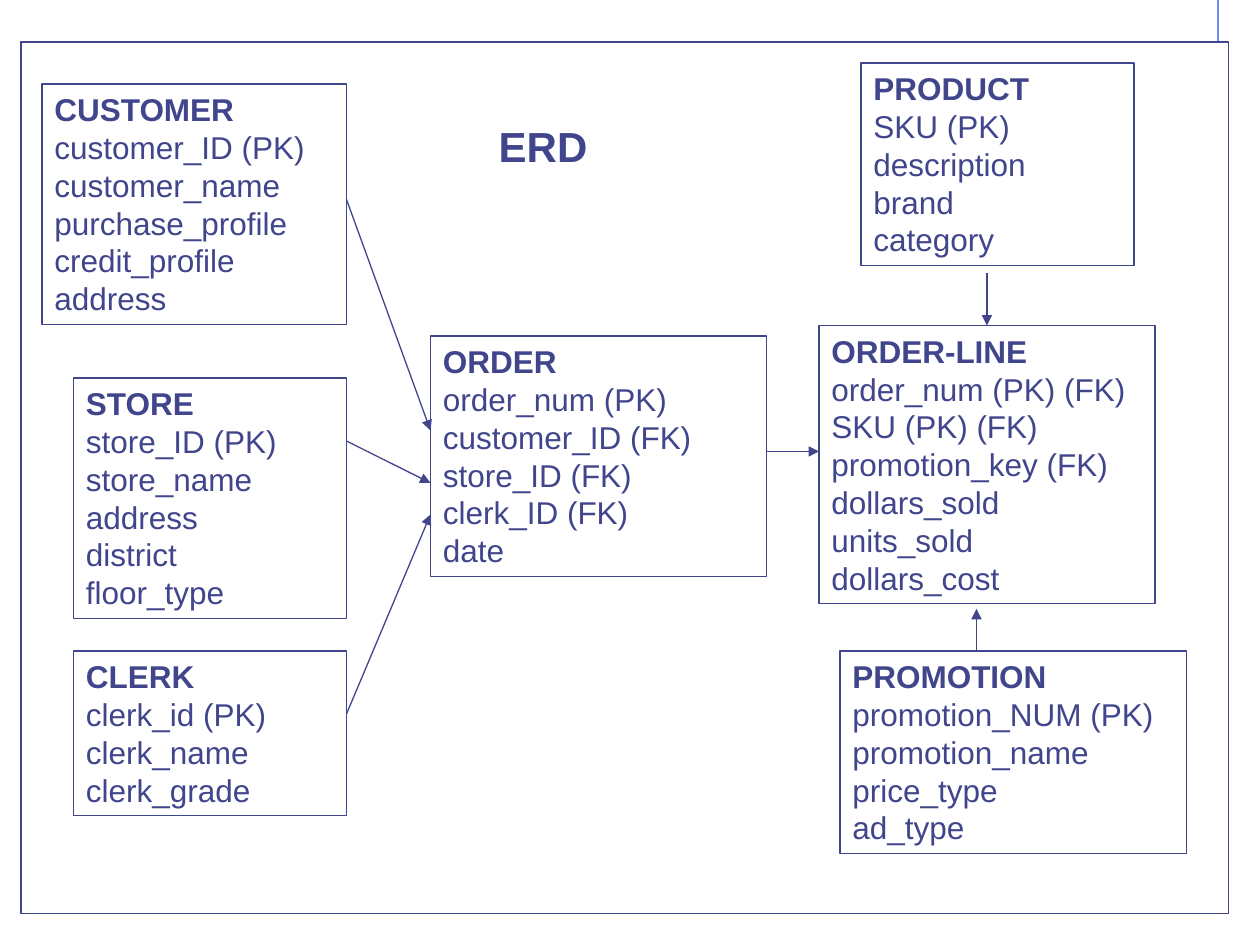
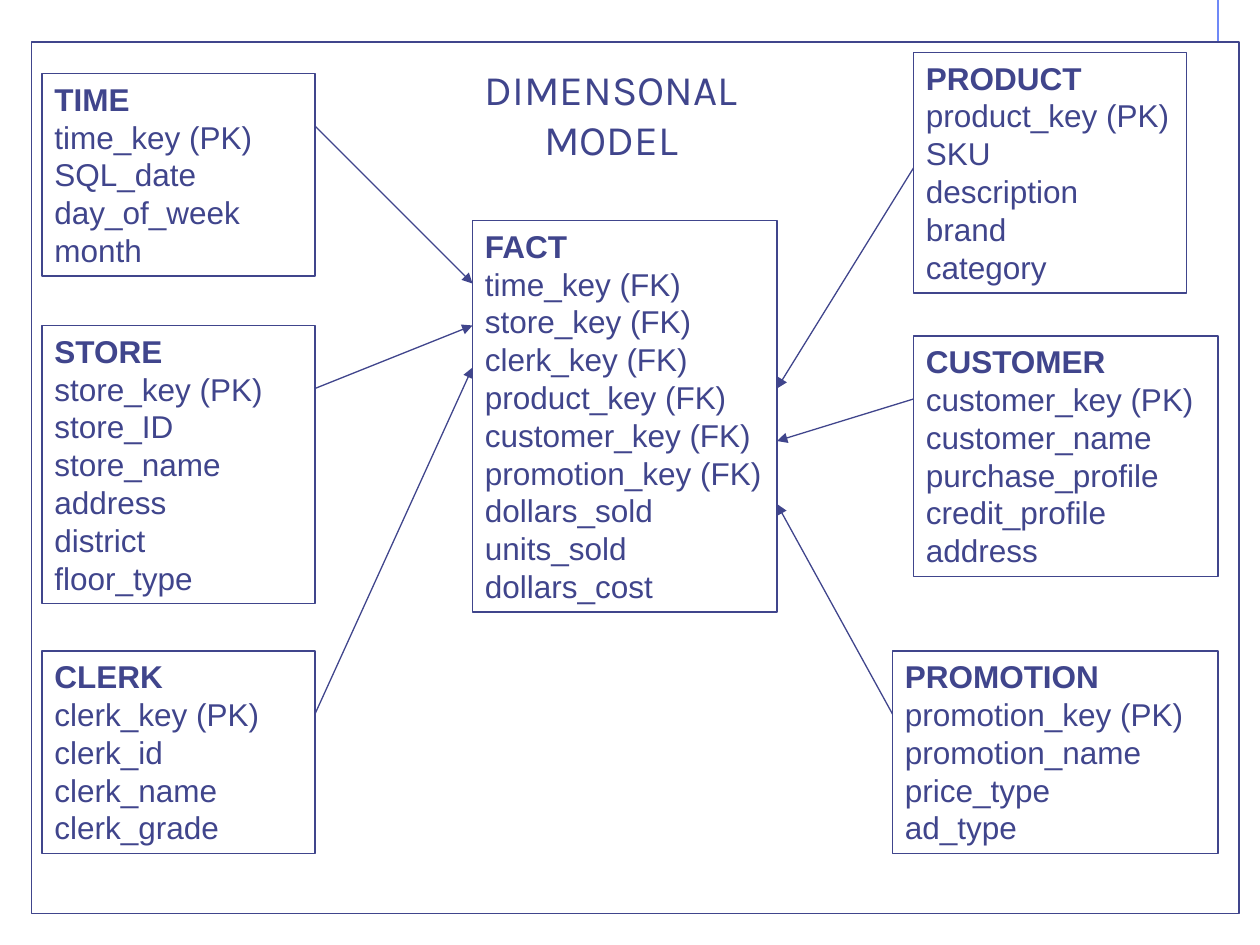
import pptx
import pptx.dml.color
import pptx.enum.shapes
import pptx.enum.text
import pptx.oxml
import pptx.oxml.ns
import pptx.util

SCALE = 7620
INK = "40458C"
RULE = "6F89F7"
PAPER = "FFFFFF"
LINE_HEIGHT = 36
BOX_PADDING = 13
ALIGN = pptx.enum.text.PP_ALIGN


def px(length):
    return pptx.util.Emu(length * SCALE)


def color(value):
    return pptx.dml.color.RGBColor.from_string(value)


def apply_format(target, values):
    for name, value in values.items():
        setattr(target, name, value)


def append_xml(parent, tag, **attributes):
    element = pptx.oxml.parse_xml(f"<{tag} {pptx.oxml.ns.nsdecls('a')}/>")
    for name, value in attributes.items():
        element.set(name, value)
    parent.append(element)


class Diagram:
    def __init__(self):
        self.deck = pptx.Presentation()
        apply_format(self.deck, {"slide_width": px(1200), "slide_height": px(900)})
        self.page = None

    def add_page(self, frame_left):
        self.page = self.deck.slides.add_slide(self.deck.slide_layouts[5])
        self.add_line((1160, 0, 1160, 310), RULE)
        self.add_box(frame_left, 40, 1150, 830, PAPER)

    def add_title(self, left, top, width, height, text, font, bold, align):
        title = self.page.shapes.title
        self.page.shapes._spTree.append(title._element)
        apply_format(title, {"left": px(left), "top": px(top),
                             "width": px(width), "height": px(height)})
        self.fill_text(title.text_frame, text.split("\n"), 24, font, align, bold, bold)
        apply_format(title.text_frame, {"margin_left": 0, "margin_right": 0})

    def add_box(self, left, top, width, height, fill=None):
        box = self.page.shapes.add_shape(
            pptx.enum.shapes.MSO_SHAPE.RECTANGLE,
            px(left), px(top), px(width), px(height))
        box.shadow.inherit = False
        if fill:
            box.fill.solid()
            box.fill.fore_color.rgb = color(fill)
        else:
            box.fill.background()
        self.style_line(box.line, INK)
        return box

    def add_entity(self, left, top, width, name, *fields):
        height = BOX_PADDING + LINE_HEIGHT * (len(fields) + 1)
        box = self.add_box(left, top, width, height)
        self.fill_text(box.text_frame, [name, *fields], 18, "Arial", ALIGN.LEFT, True, False)

    def add_line(self, ends, stroke):
        line = self.page.shapes.add_connector(
            pptx.enum.shapes.MSO_CONNECTOR.STRAIGHT, *map(px, ends))
        self.style_line(line.line, stroke)
        append_xml(line._element.spPr, "a:effectLst")
        return line

    def add_arrow(self, *ends):
        arrow = self.add_line(ends, INK)
        append_xml(arrow.line._get_or_add_ln(), "a:tailEnd", type="triangle")

    def style_line(self, line, stroke):
        line.color.rgb = color(stroke)
        line.width = pptx.util.Pt(0.75)

    def fill_text(self, frame, lines, size, font, align, first_bold, rest_bold):
        apply_format(frame, {
            "word_wrap": True,
            "auto_size": pptx.enum.text.MSO_AUTO_SIZE.SHAPE_TO_FIT_TEXT,
            "vertical_anchor": pptx.enum.text.MSO_ANCHOR.TOP})
        for index, text in enumerate(lines):
            para = frame.add_paragraph() if index else frame.paragraphs[0]
            apply_format(para, {"alignment": align, "space_before": pptx.util.Pt(0),
                                "line_spacing": pptx.util.Pt(size * 1.2)})
            span = para.add_run()
            span.text = text
            apply_format(span.font, {"name": font, "size": pptx.util.Pt(size),
                                     "bold": rest_bold if index else first_bold})
            span.font.color.rgb = color(INK)


STORE_FIELDS = ("store_name", "address", "district", "floor_type")
CLERK_FIELDS = ("clerk_name", "clerk_grade")
PRODUCT_FIELDS = ("description", "brand", "category")
CUSTOMER_FIELDS = ("customer_name", "purchase_profile", "credit_profile", "address")
PROMOTION_FIELDS = ("promotion_name", "price_type", "ad_type")
MEASURES = ("dollars_sold", "units_sold", "dollars_cost")

PAGES = [
    {
        "frame_left": 20,
        "title": (475, 109, 226, 60, "ERD", "Arial", True, ALIGN.LEFT),
        "entities": [
            (410, 320, 320, "ORDER", "order_num (PK)", "customer_ID (FK)",
             "store_ID (FK)", "clerk_ID (FK)", "date"),
            (70, 360, 260, "STORE", "store_ID (PK)", *STORE_FIELDS),
            (70, 620, 260, "CLERK", "clerk_id (PK)", *CLERK_FIELDS),
            (820, 60, 260, "PRODUCT", "SKU (PK)", *PRODUCT_FIELDS),
            (40, 80, 290, "CUSTOMER", "customer_ID (PK)", *CUSTOMER_FIELDS),
            (800, 620, 330, "PROMOTION", "promotion_NUM (PK)", *PROMOTION_FIELDS),
            (780, 310, 320, "ORDER-LINE", "order_num (PK) (FK)", "SKU (PK) (FK)",
             "promotion_key (FK)", *MEASURES),
        ],
        "arrows": [
            (330, 190, 410, 410), (330, 420, 410, 460), (330, 680, 410, 490),
            (730, 430, 780, 430), (940, 260, 940, 310), (930, 620, 930, 580),
        ],
    },
    {
        "frame_left": 30,
        "title": (448, 54, 268, 108, "DIMENSONAL\nMODEL", "Karla", False, ALIGN.CENTER),
        "entities": [
            (40, 70, 260, "TIME", "time_key (PK)", "SQL_date", "day_of_week", "month"),
            (40, 310, 260, "STORE", "store_key (PK)", "store_ID", *STORE_FIELDS),
            (40, 620, 260, "CLERK", "clerk_key (PK)", "clerk_id", *CLERK_FIELDS),
            (870, 50, 260, "PRODUCT", "product_key (PK)", "SKU", *PRODUCT_FIELDS),
            (870, 320, 290, "CUSTOMER", "customer_key (PK)", *CUSTOMER_FIELDS),
            (850, 620, 310, "PROMOTION", "promotion_key (PK)", *PROMOTION_FIELDS),
            (450, 210, 290, "FACT", "time_key (FK)", "store_key (FK)", "clerk_key (FK)",
             "product_key (FK)", "customer_key (FK)", "promotion_key (FK)", *MEASURES),
        ],
        "arrows": [
            (300, 120, 450, 270), (300, 370, 450, 310), (300, 680, 450, 350),
            (870, 160, 740, 370), (870, 380, 740, 420), (850, 680, 740, 480),
        ],
    },
]


def main():
    diagram = Diagram()
    for content in PAGES:
        diagram.add_page(content["frame_left"])
        for entity in content["entities"]:
            diagram.add_entity(*entity)
        for arrow in content["arrows"]:
            diagram.add_arrow(*arrow)
        diagram.add_title(*content["title"])
    diagram.deck.save("out.pptx")


if __name__ == "__main__":
    main()
